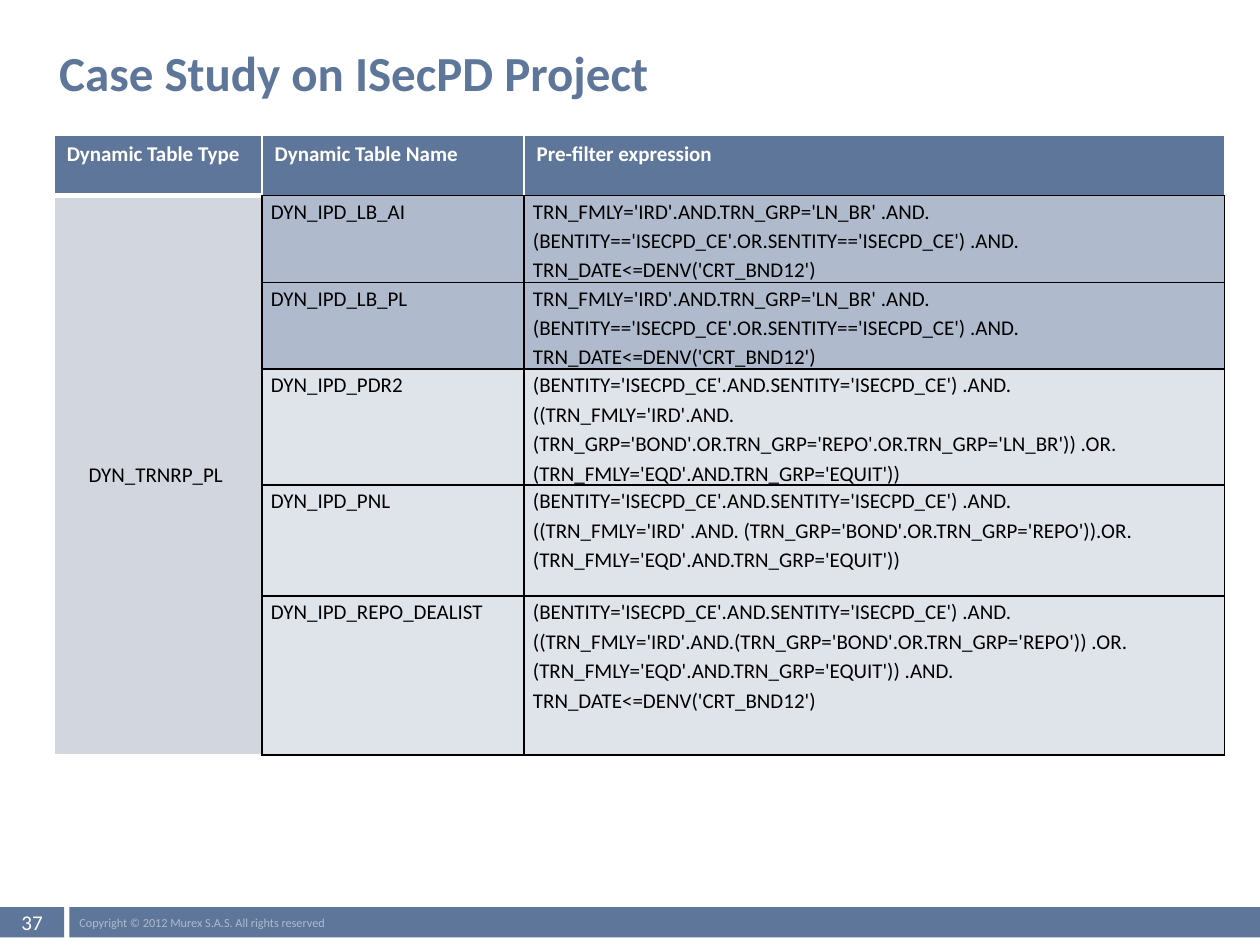
from lxml.etree import SubElement
from pptx import Presentation
from pptx.dml.color import RGBColor
from pptx.enum.shapes import MSO_SHAPE as Shape
from pptx.enum.text import MSO_ANCHOR as Anchor, PP_ALIGN as Align
from pptx.oxml.ns import qn
from pptx.util import Inches, Pt

BLUE = RGBColor(0x5F, 0x76, 0x9B)
MID_BLUE = RGBColor(0xAF, 0xBA, 0xCD)
PALE_BLUE = RGBColor(0xDF, 0xE4, 0xEB)
GREY = RGBColor(0xD2, 0xD6, 0xDE)
WHITE = RGBColor(0xFF, 0xFF, 0xFF)
BLACK = RGBColor(0, 0, 0)

HEADERS = ["Dynamic Table Type", "Dynamic Table Name", "Pre-filter expression"]
TABLE_TYPE = "DYN_TRNRP_PL "
LOAN_FILTER = ("TRN_FMLY='IRD'.AND.TRN_GRP='LN_BR' .AND. "
               "(BENTITY=='ISECPD_CE'.OR.SENTITY=='ISECPD_CE') .AND. "
               "TRN_DATE<=DENV('CRT_BND12')")
ENTITIES = "(BENTITY='ISECPD_CE'.AND.SENTITY='ISECPD_CE') .AND. "
EQUITY = "(TRN_FMLY='EQD'.AND.TRN_GRP='EQUIT'))"
# Name, pre-filter expression, fill
DYNAMIC_TABLES = [
    ("DYN_IPD_LB_AI", LOAN_FILTER, MID_BLUE),
    ("DYN_IPD_LB_PL", LOAN_FILTER, MID_BLUE),
    ("DYN_IPD_PDR2", ENTITIES + "((TRN_FMLY='IRD'.AND.(TRN_GRP='BOND'.OR."
     "TRN_GRP='REPO'.OR.TRN_GRP='LN_BR')) .OR. " + EQUITY, PALE_BLUE),
    ("DYN_IPD_PNL", ENTITIES + "((TRN_FMLY='IRD' .AND. (TRN_GRP='BOND'.OR."
     "TRN_GRP='REPO')).OR." + EQUITY, PALE_BLUE),
    ("DYN_IPD_REPO_DEALIST", ENTITIES + "((TRN_FMLY='IRD'.AND.(TRN_GRP='BOND'"
     ".OR.TRN_GRP='REPO')) .OR. " + EQUITY +
     " .AND. TRN_DATE<=DENV('CRT_BND12')", PALE_BLUE),
]
COLUMN_WIDTHS = [1.65, 2.08, 5.56]
ROW_HEIGHTS = [0.48, 0.66, 0.66, 0.66, 0.88, 1.26]


def write(frame, text, size, color, bold=False, align=Align.LEFT, spacing=None):
    frame.text = text
    paragraph = frame.paragraphs[0]
    paragraph.alignment = align
    if spacing:
        paragraph.line_spacing = spacing
    font = paragraph.runs[0].font
    for name, value in {"name": "Calibri", "size": Pt(size), "bold": bold}.items():
        setattr(font, name, value)
    font.color.rgb = color


def set_insets(target, side, top=0):
    insets = {"margin_left": side, "margin_right": side,
              "margin_top": top, "margin_bottom": top}
    for name, value in insets.items():
        setattr(target, name, Inches(value))


def add_title(slide, left, top, width, height):
    frame = slide.shapes.add_textbox(
        Inches(left), Inches(top), Inches(width), Inches(height)).text_frame
    frame.word_wrap = True
    set_insets(frame, 0.04)
    write(frame, "Case Study on ISecPD Project", 28, BLUE, bold=True)


def set_borders(cell, **borders):
    """Takes L, R, T and B as (colour, points)."""
    properties = cell._tc.get_or_add_tcPr()
    for side in "LRTB":
        color, points = borders.get(side, (BLACK, 1))
        line = SubElement(properties, qn(f"a:ln{side}"), w=str(Pt(points)))
        fill = SubElement(line, qn("a:solidFill"))
        SubElement(fill, qn("a:srgbClr"), val=str(color))


def fill_cell(cell, color):
    cell.fill.solid()
    cell.fill.fore_color.rgb = color


def add_filter_table(slide, left, top, width, height):
    table = slide.shapes.add_table(
        len(ROW_HEIGHTS), len(COLUMN_WIDTHS), Inches(left), Inches(top),
        Inches(width), Inches(height)).table
    for column, column_width in zip(table.columns, COLUMN_WIDTHS):
        column.width = Inches(column_width)
    for row, row_height in zip(table.rows, ROW_HEIGHTS):
        row.height = Inches(row_height)

    # Header row
    thin = (WHITE, 1)
    for index, header in enumerate(HEADERS):
        cell = table.cell(0, index)
        bottom = (BLACK, 1) if index else (WHITE, 3)
        set_borders(cell, L=thin, R=thin, T=thin, B=bottom)
        fill_cell(cell, BLUE)
        write(cell.text_frame, header, 12, WHITE, bold=True)

    # Names and expressions
    for row, (name, expression, color) in enumerate(DYNAMIC_TABLES, 1):
        type_top = (WHITE, 3) if row == 1 else thin
        set_borders(table.cell(row, 0), L=thin, T=type_top, B=thin)
        for column, text in enumerate((name, expression), 1):
            cell = table.cell(row, column)
            set_borders(cell)
            fill_cell(cell, color)
            set_insets(cell, 0.07)
            write(cell.text_frame, text, 12, BLACK, spacing=1.15)

    # Table type, spanning all body rows
    table_type = table.cell(1, 0)
    table_type.merge(table.cell(len(DYNAMIC_TABLES), 0))
    fill_cell(table_type, GREY)
    table_type.vertical_anchor = Anchor.MIDDLE
    write(table_type.text_frame, TABLE_TYPE, 12, BLACK, align=Align.CENTER)


def add_footer(slide, left, top, width, height):
    number_width, copyright_left = 0.51, 0.55
    parts = [
        (copyright_left, width - copyright_left,
         "Copyright © 2012 Murex S.A.S. All rights reserved", 7, MID_BLUE, Align.LEFT),
        (0, number_width, "37", 12, WHITE, Align.CENTER),
    ]
    for offset, part_width, text, size, color, align in parts:
        bar = slide.shapes.add_shape(
            Shape.RECTANGLE, Inches(left + offset), Inches(top),
            Inches(part_width), Inches(height))
        bar.shadow.inherit = False
        bar.fill.solid()
        bar.fill.fore_color.rgb = BLUE
        bar.line.fill.background()
        frame = bar.text_frame
        frame.word_wrap = False
        frame.vertical_anchor = Anchor.MIDDLE
        set_insets(frame, 0.08)
        write(frame, text, size, color, align=align)


def main():
    deck = Presentation()
    deck.slide_width, deck.slide_height = Inches(10), Inches(7.5)
    slide = deck.slides.add_slide(deck.slide_layouts[6])
    add_footer(slide, 0, 7.2, 10, 0.24)
    add_title(slide, 0.43, 0.34, 7.01, 0.58)
    add_filter_table(slide, 0.43, 1.07, sum(COLUMN_WIDTHS), sum(ROW_HEIGHTS))
    deck.save("out.pptx")


if __name__ == "__main__":
    main()
